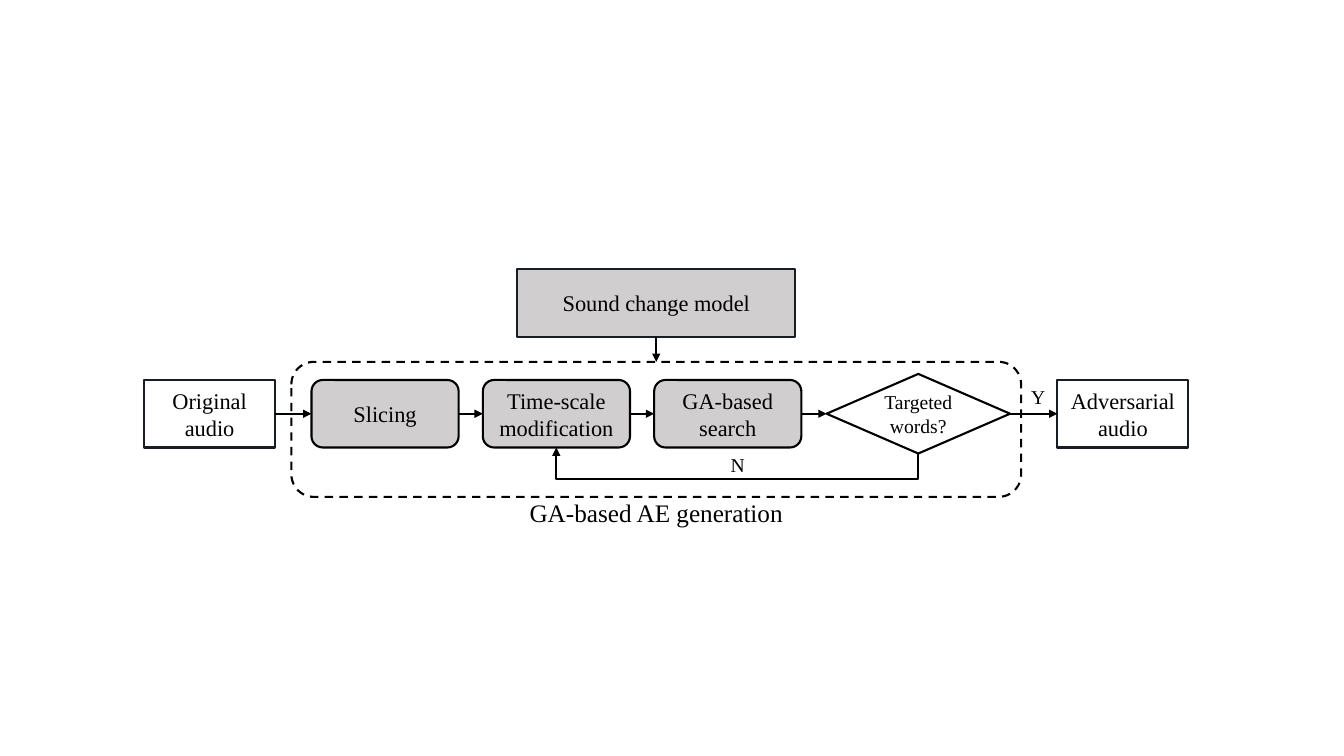
from dataclasses import dataclass

import pptx
import pptx.dml.color
import pptx.enum.dml
import pptx.enum.shapes
import pptx.enum.text
import pptx.oxml
import pptx.oxml.ns
import pptx.util
from pptx.oxml.ns import qn

KIND = pptx.enum.shapes.MSO_SHAPE
LINK = pptx.enum.shapes.MSO_CONNECTOR
TOP, LEFT, BOTTOM, RIGHT = range(4)


@dataclass(frozen=True)
class Theme:
    font: str = "Times New Roman"
    ink: str = "000000"
    edge: str = "181D24"
    gray: str = "D0CECE"
    stroke: float = 1.5
    small: int = 14
    body: int = 16
    large: int = 18


@dataclass(frozen=True)
class Area:
    """Centre and size, in percent of the slide's width and height."""
    x: float
    y: float
    wide: float
    high: float


@dataclass(frozen=True)
class Node:
    name: str
    kind: int
    area: Area
    text: str = ""
    fill: str = ""
    edge: str = Theme.ink
    size: int = Theme.body
    dash: bool = False


@dataclass(frozen=True)
class Label:
    text: str
    area: Area
    size: int


@dataclass(frozen=True)
class Arrow:
    start: str
    side: int
    end: str
    port: int


THEME = Theme()
WIDE, HIGH = pptx.util.Inches(13.33), pptx.util.Inches(7.5)
AXIS, TALL = 54.73, 8.93       # centre line and box height of the main row
MID = 48.83                    # centre of the dashed frame
FIRST, PITCH = 28.65, 12.75    # first stage and the step between stages
LOOP = 3.4                     # drop of the feedback arrow

STAGES = ["Slicing", "Time-scale\nmodification", "GA-based search"]
NODES = [
    Node("frame", KIND.ROUNDED_RECTANGLE, Area(MID, 56.8, 54.3, 17.87), dash=True),
    Node("model", KIND.RECTANGLE, Area(MID, 40.07, 20.7, TALL),
         "Sound change model", THEME.gray, THEME.edge),
    Node("source", KIND.RECTANGLE, Area(15.6, AXIS, 9.75, TALL),
         "Original audio", edge=THEME.edge),
    *(Node(f"stage{i}", KIND.ROUNDED_RECTANGLE,
           Area(FIRST + i * PITCH, AXIS, 10.95, TALL), text, THEME.gray)
      for i, text in enumerate(STAGES)),
    Node("test", KIND.DIAMOND, Area(68.33, AXIS, 13.65, 10.53),
         "Targeted words?", size=THEME.small),
    Node("result", KIND.RECTANGLE, Area(83.55, AXIS, 9.75, TALL),
         "Adversarial\naudio", edge=THEME.edge),
]
LABELS = [
    Label("GA-based AE generation", Area(MID, 67.73, 21.3, 5.33), THEME.large),
    Label("Y", Area(77.25, 52.53, 2.55, 4.53), THEME.small),
    Label("N", Area(54.9, 61.47, 2.55, 4.53), THEME.small),
]
CHAIN = ["source", "stage0", "stage1", "stage2", "test", "result"]
ARROWS = [Arrow(a, RIGHT, b, LEFT) for a, b in zip(CHAIN, CHAIN[1:])]
ARROWS.append(Arrow("model", BOTTOM, "frame", TOP))


def across(share: float) -> int:
    return round(WIDE * share / 100)


def down(share: float) -> int:
    return round(HIGH * share / 100)


def bounds(area: Area) -> tuple[int, int, int, int]:
    return (across(area.x - area.wide / 2), down(area.y - area.high / 2),
            across(area.wide), down(area.high))


def color(code: str) -> pptx.dml.color.RGBColor:
    return pptx.dml.color.RGBColor.from_string(code)


def write(frame: pptx.text.text.TextFrame, text: str, size: int) -> None:
    for i, line in enumerate(text.split("\n")):
        para = frame.add_paragraph() if i else frame.paragraphs[0]
        para.alignment = pptx.enum.text.PP_ALIGN.CENTER
        run = para.add_run()
        run.text = line
        run.font.name = THEME.font
        run.font.size = pptx.util.Pt(size)
        run.font.color.rgb = color(THEME.ink)


def draw_node(slide: pptx.slide.Slide, node: Node) -> pptx.shapes.autoshape.Shape:
    shape = slide.shapes.add_shape(node.kind, *bounds(node.area))
    shape.shadow.inherit = False
    if node.fill:
        shape.fill.solid()
        shape.fill.fore_color.rgb = color(node.fill)
    else:
        shape.fill.background()
    shape.line.color.rgb = color(node.edge)
    shape.line.width = pptx.util.Pt(THEME.stroke)
    if node.dash:
        shape.line.dash_style = pptx.enum.dml.MSO_LINE.DASH
    if node.text:
        shape.text_frame.vertical_anchor = pptx.enum.text.MSO_ANCHOR.MIDDLE
        write(shape.text_frame, node.text, node.size)
    return shape


def draw_label(slide: pptx.slide.Slide, label: Label) -> None:
    frame = slide.shapes.add_textbox(*bounds(label.area)).text_frame
    frame.word_wrap = False
    frame.auto_size = pptx.enum.text.MSO_AUTO_SIZE.SHAPE_TO_FIT_TEXT
    write(frame, label.text, label.size)


def style(line: pptx.shapes.connector.Connector) -> None:
    line.line.color.rgb = color(THEME.ink)
    line.line.width = pptx.util.Pt(THEME.stroke)
    pptx.oxml.ns  # namespace helpers
    stroke = line.line._get_or_add_ln()
    stroke.append(stroke.makeelement(qn("a:tailEnd"), {"type": "triangle"}))
    props = line._element.spPr
    props.append(props.makeelement(qn("a:effectLst"), {}))


def draw_arrow(slide: pptx.slide.Slide, arrow: Arrow, shapes: dict) -> None:
    line = slide.shapes.add_connector(LINK.STRAIGHT, 0, 0, 0, 0)
    line.begin_connect(shapes[arrow.start], arrow.side)
    line.end_connect(shapes[arrow.end], arrow.port)
    style(line)


def draw_loop(slide: pptx.slide.Slide, start: Area, end: Area) -> None:
    """Lead from the bottom of start, below both areas, to the bottom of end."""
    low = down(start.y + start.high / 2)
    rise = low - down(end.y + end.high / 2)
    span = across(start.x - end.x)
    x, y = across((start.x + end.x) / 2), low - rise // 2
    line = slide.shapes.add_connector(
        LINK.ELBOW, x + rise // 2, y - span // 2, x - rise // 2, y + span // 2)
    props = line._element.spPr
    props.find(qn("a:xfrm")).set("rot", str(90 * 60000))
    geom = props.find(qn("a:prstGeom"))
    guides = geom.find(qn("a:avLst"))
    if guides is None:
        guides = geom.makeelement(qn("a:avLst"), {})
        geom.append(guides)
    bend = round(-down(LOOP) / rise * 100000)
    guides.append(guides.makeelement(
        qn("a:gd"), {"name": "adj1", "fmla": f"val {bend}"}))
    style(line)


def main() -> None:
    deck = pptx.Presentation()
    deck.slide_width, deck.slide_height = WIDE, HIGH
    slide = deck.slides.add_slide(deck.slide_layouts[6])
    shapes = {node.name: draw_node(slide, node) for node in NODES}
    areas = {node.name: node.area for node in NODES}
    for label in LABELS:
        draw_label(slide, label)
    for arrow in ARROWS:
        draw_arrow(slide, arrow, shapes)
    draw_loop(slide, areas["test"], areas["stage1"])
    deck.save("out.pptx")


if __name__ == "__main__":
    main()
